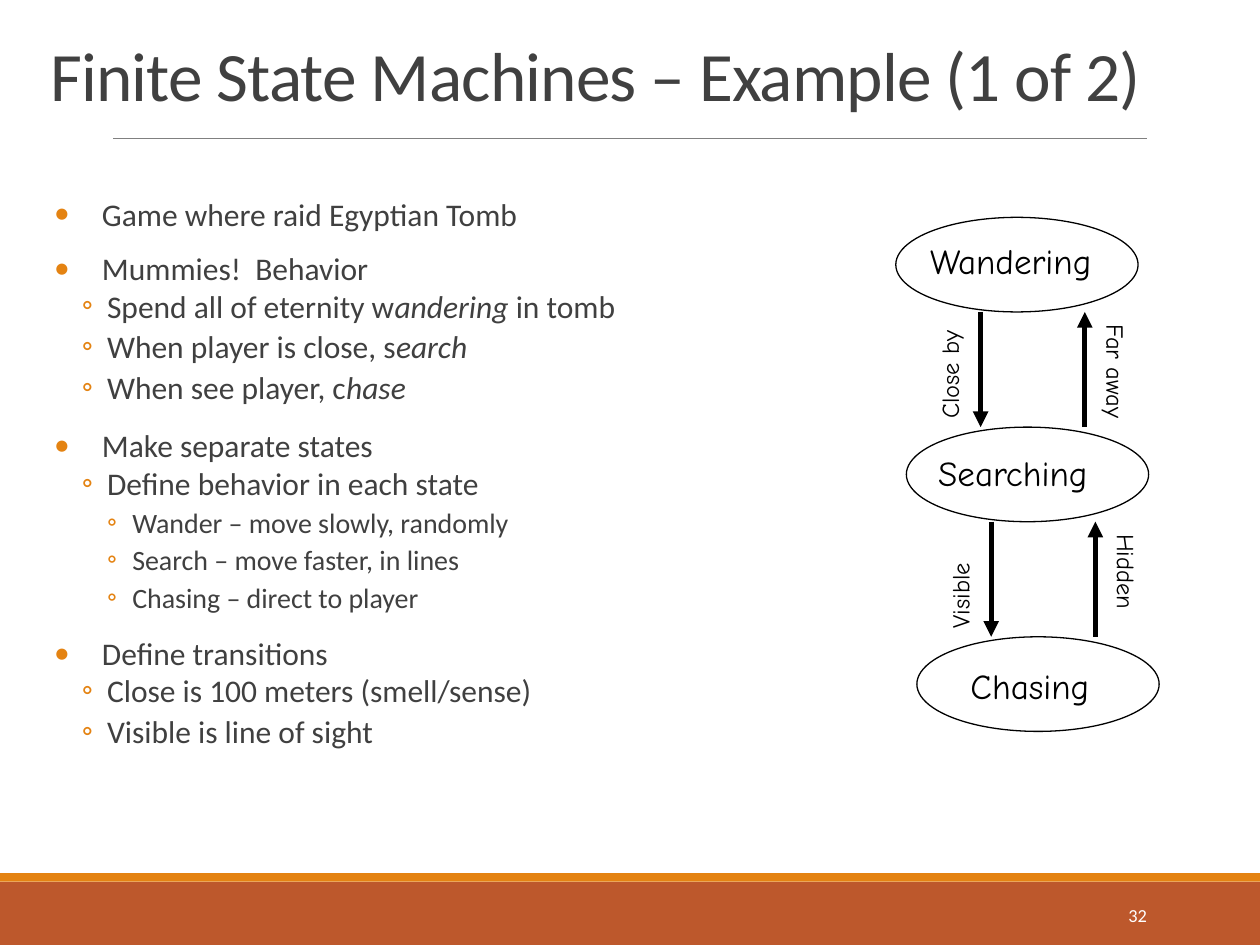
from collections import namedtuple

from lxml import etree
from pptx import Presentation
from pptx.dml.color import RGBColor
from pptx.enum import shapes, text
from pptx.oxml import ns
from pptx.util import Inches, Pt

COLORS = {"text": "404040", "accent": "E48312", "band": "BD582C",
          "rule": "808080", "ink": "000000", "light": "FFFFFF"}
BODY_FONT, DIAGRAM_FONT = "Calibri", "Comic Neue"

Level = namedtuple("Level", "bullet size margin hanging before after")
LEVELS = [Level("•", 18, 0.38, 0.38, 12, 2),
          Level("◦", 18, 0.42, 0.2, 2, 4),
          Level("◦", 16, 0.62, 0.2, 2, 4)]

OUTLINE = [
    (0, "Game where raid Egyptian Tomb"),
    (0, "Mummies!  Behavior"),
    (1, "Spend all of eternity w*andering *in tomb"),
    (1, "When player is close, s*earch*"),
    (1, "When see player, c*hase*"),
    (0, "Make separate states"),
    (1, "Define behavior in each state"),
    (2, "Wander – move slowly, randomly"),
    (2, "Search – move faster, in lines"),
    (2, "Chasing – direct to player"),
    (0, "Define transitions"),
    (1, "Close is 100 meters (smell/sense)"),
    (1, "Visible is line of sight"),
]

State = namedtuple("State", "name x y width")
STATES = [State("Wandering", 0.09, 0.17, 0.83),
          State("Searching", 0.08, 0.19, 0.78),
          State("Chasing", 0.17, 0.23, 0.61)]
TRANSITIONS = [(("Close by", 0.95), ("Far away", 1)),
               (("Visible", 0.81), ("Hidden", 0.84))]


class Box(namedtuple("Box", "left top width height")):
    """A rectangle in inches."""

    def area(self, x, y, width, height):
        """Return the box at the given shares of this one."""
        return Box(self.left + x * self.width, self.top + y * self.height,
                   width * self.width, height * self.height)

    def emu(self):
        """Return the four lengths for python-pptx."""
        return [Inches(length) for length in self]


def color(name):
    """Return the named colour."""
    return RGBColor.from_string(COLORS[name])


def write(paragraph, words, size=18, font=BODY_FONT, ink="text", italic=False, spacing=None):
    """Add one formatted run to a paragraph."""
    run = paragraph.add_run()
    run.text = words
    run.font.size, run.font.name, run.font.italic = Pt(size), font, italic
    run.font.color.rgb = color(ink)
    if spacing is not None:
        run.font._element.set("spc", str(int(spacing * 100)))


def add_text(parent, box, words, align=text.PP_ALIGN.LEFT,
             anchor=text.MSO_ANCHOR.TOP, rotation=0, **style):
    """Add a text box with one line."""
    shape = parent.add_textbox(*box.emu())
    shape.rotation = rotation
    frame = shape.text_frame
    frame.word_wrap, frame.vertical_anchor = True, anchor
    frame.paragraphs[0].alignment = align
    write(frame.paragraphs[0], words, **style)


def add_shape(parent, kind, box, fill=None, line=None):
    """Add a preset shape with an optional fill and outline."""
    shape = parent.add_shape(kind, *box.emu())
    shape.shadow.inherit = False
    if fill:
        shape.fill.solid()
        shape.fill.fore_color.rgb = color(fill)
    else:
        shape.fill.background()
    if line:
        shape.line.color.rgb = color(line)
        shape.line.width = Pt(0.75)
    else:
        shape.line.fill.background()


def add_line(parent, start, end, ink, width, arrow=False):
    """Add a straight line, with an arrowhead at its end if wanted."""
    points = [Inches(length) for length in (*start, *end)]
    connector = parent.add_connector(shapes.MSO_CONNECTOR.STRAIGHT, *points)
    connector.line.color.rgb = color(ink)
    connector.line.width = Pt(width)
    if arrow:
        outline = connector.line._get_or_add_ln()
        etree.SubElement(outline, ns.qn("a:tailEnd"), type="triangle")
    etree.SubElement(connector._element.spPr, ns.qn("a:effectLst"))


def add_header(slide, box):
    """Place the title and the rule under it."""
    title = slide.shapes.title
    title.left, title.top, title.width, title.height = box.area(0.03, 0.16, 0.94, 0.72).emu()
    frame = title.text_frame
    frame.auto_size = text.MSO_AUTO_SIZE.NONE
    frame.vertical_anchor = text.MSO_ANCHOR.BOTTOM
    paragraph = frame.paragraphs[0]
    paragraph.alignment, paragraph.line_spacing = text.PP_ALIGN.LEFT, 0.85
    write(paragraph, "Finite State Machines – Example (1 of 2)", size=39.6, spacing=-0.5)
    rule = box.area(0.09, 1, 0.82, 0)
    add_line(slide.shapes, rule[:2], (rule.left + rule.width, rule.top), "rule", 0.5)


def add_footer(slide, box):
    """Place the two bands and the slide number."""
    add_shape(slide.shapes, shapes.MSO_SHAPE.RECTANGLE, box.area(0, 0.12, 1, 0.88), fill="band")
    add_shape(slide.shapes, shapes.MSO_SHAPE.RECTANGLE, box.area(0, 0, 1, 0.12), fill="accent")
    add_text(slide.shapes, box.area(0.81, 0.23, 0.11, 0.7), "32", size=10.5, ink="light",
             align=text.PP_ALIGN.RIGHT, anchor=text.MSO_ANCHOR.MIDDLE)


def add_bullet(paragraph, level):
    """Give a paragraph the bullet and indent of its level."""
    properties = paragraph._p.get_or_add_pPr()
    properties.set("marL", str(Inches(level.margin)))
    properties.set("indent", str(-Inches(level.hanging)))
    bullet_color = etree.SubElement(properties, ns.qn("a:buClr"))
    etree.SubElement(bullet_color, ns.qn("a:srgbClr"), val=COLORS["accent"])
    etree.SubElement(properties, ns.qn("a:buFont"), typeface=BODY_FONT)
    etree.SubElement(properties, ns.qn("a:buChar"), char=level.bullet)


def add_outline(slide, box):
    """Place the bulleted outline; asterisks enclose italics."""
    frame = slide.shapes.add_textbox(*box.emu()).text_frame
    frame.word_wrap = True
    frame.margin_left = frame.margin_right = 0
    for index, (depth, words) in enumerate(OUTLINE):
        paragraph = frame.add_paragraph() if index else frame.paragraphs[0]
        level = LEVELS[depth]
        paragraph.level, paragraph.line_spacing = depth, 0.8
        paragraph.space_before = Pt(level.before if index else 0)
        paragraph.space_after = Pt(level.after)
        add_bullet(paragraph, level)
        for position, piece in enumerate(words.split("*")):
            if piece:
                write(paragraph, piece, size=level.size, italic=position % 2 == 1)


def add_state(slide, box, state):
    """Place one state as an ellipse grouped with its name."""
    group = slide.shapes.add_group_shape().shapes
    add_shape(group, shapes.MSO_SHAPE.OVAL, box, line="ink")
    add_text(group, box.area(state.x, state.y, state.width, 0.57), state.name,
             size=20, font=DIAGRAM_FONT, ink="ink")


def add_transitions(slide, gap, down, up):
    """Place the arrows down and up between two states, with their labels."""
    bottom = gap.top + gap.height
    for (name, length), share, rotation in ((down, 0.35, 270), (up, 0.78, 90)):
        x = gap.left + share * gap.width
        ends = [(x, gap.top), (x, bottom)]
        side, middle = 0.25, gap.top + length / 2
        if rotation == 270:
            side, middle = -0.25, bottom + 0.03 - length / 2
        else:
            ends.reverse()
        add_line(slide.shapes, *ends, "ink", 3, arrow=True)
        label = Box(x + side - length / 2, middle - 0.165, length, 0.33)
        add_text(slide.shapes, label, name, rotation=rotation,
                 size=14, font=DIAGRAM_FONT, ink="ink")


def add_diagram(slide, box):
    """Place the states down the box, each a step right, and their transitions."""
    for index, state in enumerate(STATES):
        x, y = 0.04 * index, 0.408 * index
        add_state(slide, box.area(x, y, 0.92, 0.184), state)
        if index < len(TRANSITIONS):
            add_transitions(slide, box.area(x, y + 0.184, 0.92, 0.224), *TRANSITIONS[index])


def main():
    """Build and save the slide."""
    presentation = Presentation()
    presentation.slide_width, presentation.slide_height = Inches(10), Inches(7.5)
    slide = presentation.slides.add_slide(presentation.slide_layouts[5])
    page = Box(0, 0, 10, 7.5)
    add_footer(slide, page.area(0, 0.924, 1, 0.076))
    add_header(slide, page.area(0, 0, 1, 0.147))
    add_outline(slide, page.area(0.043, 0.207, 0.543, 0.635))
    add_diagram(slide, page.area(0.711, 0.23, 0.209, 0.544))
    presentation.save("out.pptx")


if __name__ == "__main__":
    main()
